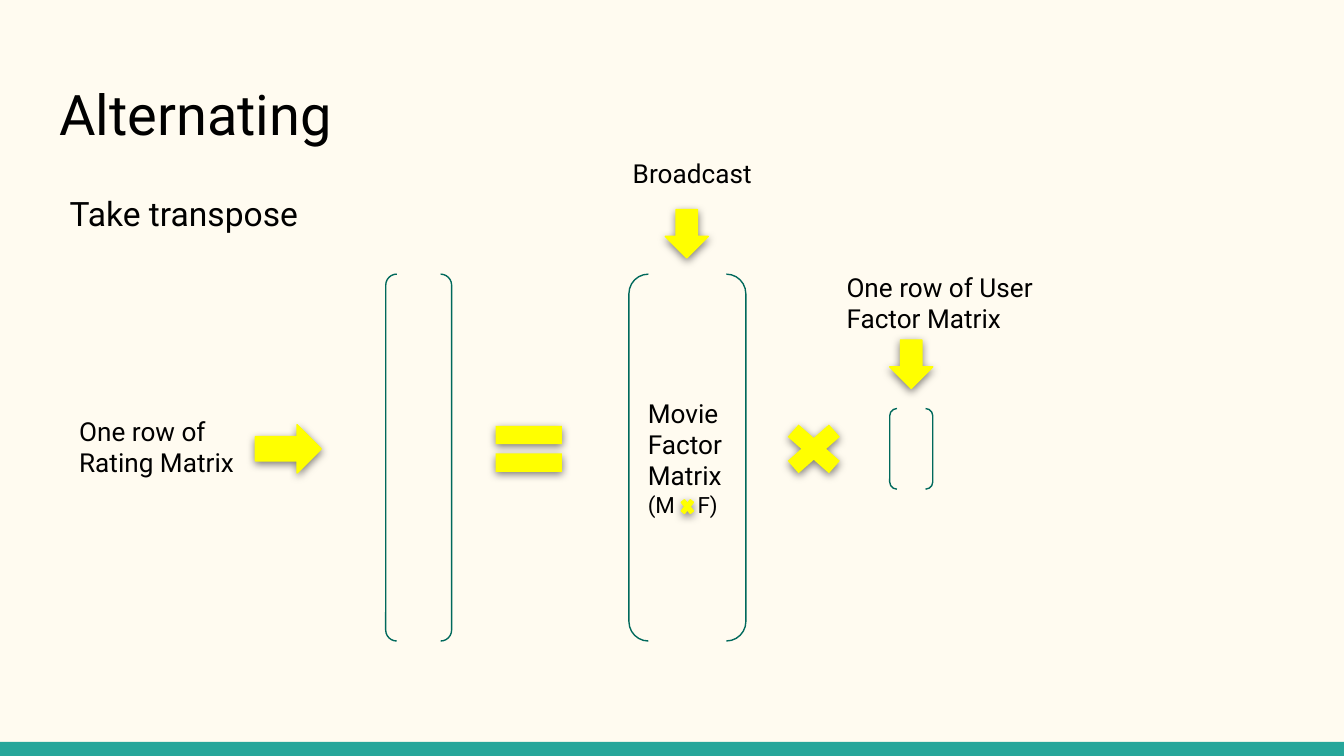
import pptx
import pptx.dml.color
import pptx.enum.shapes
import pptx.enum.text
import pptx.oxml
import pptx.util
from pptx.util import Inches

FONT = "Roboto"
COLORS = {"background": "FFFBF0", "bar": "26A69A", "bracket": "00695C",
          "symbol": "FFFF00", "text": "000000"}
MSO = pptx.enum.shapes.MSO_SHAPE
ANCHOR = pptx.enum.text.MSO_ANCHOR
NS = 'xmlns:a="http://schemas.openxmlformats.org/drawingml/2006/main"'

# Content: boxes are left, top, width, height in inches
TITLE = ("Alternating", (0.34, 0.49, 9.32, 0.67), 30)
LABELS = [
    ("Take transpose", (0.42, 1.29, 9.32, 3.72), 18, 1.15),
    ("Broadcast", (4.61, 1.07, 1.17, 0.42), 14, 1),
    ("One row of User Factor Matrix", (6.2, 1.92, 2.09, 0.36), 14, 1),
    ("One row of Rating Matrix", (0.49, 2.99, 1.41, 0.94), 14, 1),
]
RATING_ROW = (2.87, 2.04, 0.49, 2.73)
MOVIE_FACTORS = (4.68, 2.04, 0.87, 2.73)
USER_ROW = (6.62, 3.04, 0.32, 0.6)
MOVIE_LINES = [("Movie Factor", 14), ("Matrix", 14), ("(M\tF)", 12)]
SYMBOLS = [  # preset, box, outlined
    (MSO.MATH_EQUAL, (3.6, 3.05, 0.67, 0.58), False),
    (MSO.MATH_MULTIPLY, (5.76, 3.08, 0.59, 0.52), False),
    (MSO.MATH_MULTIPLY, (5.05, 3.69, 0.13, 0.16), True),
    (MSO.DOWN_ARROW, (4.95, 1.56, 0.32, 0.36), True),
    (MSO.DOWN_ARROW, (6.62, 2.53, 0.32, 0.36), True),
    (MSO.RIGHT_ARROW, (1.9, 3.16, 0.49, 0.36), True),
]
SHADOW = (f'<a:effectLst {NS}><a:outerShdw blurRad="57150" dist="19050" dir="5400000" '
          'algn="bl" rotWithShape="0"><a:srgbClr val="000000"><a:alpha val="50000"/>'
          '</a:srgbClr></a:outerShdw></a:effectLst>')


def rgb(name):
    return pptx.dml.color.RGBColor.from_string(COLORS[name])


def add_shape(preset, box, fill=None, line=None):
    sp = slide.shapes.add_shape(preset, *map(Inches, box))
    sp.shadow.inherit = False
    if fill:
        sp.fill.solid()
        sp.fill.fore_color.rgb = rgb(fill)
    else:
        sp.fill.background()
    if line:
        sp.line.color.rgb = rgb(line)
        sp.line.width = pptx.util.Pt(0.75)
    else:
        sp.line.fill.background()
    return sp


def write(sp, lines, anchor=ANCHOR.TOP, spacing=1):
    tf = sp.text_frame
    tf.word_wrap = True
    tf.auto_size = pptx.enum.text.MSO_AUTO_SIZE.NONE
    tf.vertical_anchor = anchor
    tf.margin_left = tf.margin_top = tf.margin_right = tf.margin_bottom = Inches(0.1)
    tf.text = "\n".join(text for text, _ in lines)
    for p, (_, size) in zip(tf.paragraphs, lines):
        p.alignment = pptx.enum.text.PP_ALIGN.LEFT
        p.line_spacing = spacing
        for r in p.runs:
            r.font.name = FONT
            r.font.size = pptx.util.Pt(size)
            r.font.color.rgb = rgb("text")


# A 16:9 page
prs = pptx.Presentation()
prs.slide_width = Inches(10)
prs.slide_height = prs.slide_width * 9 // 16
slide = prs.slides.add_slide(prs.slide_layouts[5])
slide.background.fill.solid()
slide.background.fill.fore_color.rgb = rgb("background")

# Bottom bar
add_shape(MSO.RECTANGLE, (0, 5.52, 10, 0.11), fill="bar")

# Title
text, box, size = TITLE
title = slide.shapes.title
title.left, title.top, title.width, title.height = map(Inches, box)
write(title, [(text, size)])

# Matrices, the middle one with its name and size
for box in (RATING_ROW, MOVIE_FACTORS, USER_ROW):
    sp = add_shape(MSO.DOUBLE_BRACKET, box, line="bracket")
    if box == MOVIE_FACTORS:
        write(sp, MOVIE_LINES, anchor=ANCHOR.MIDDLE)
        # Tab stop leaves room for the small multiply sign
        pPr = sp.text_frame.paragraphs[-1]._p.get_or_add_pPr()
        pPr.append(pptx.oxml.parse_xml(
            f'<a:tabLst {NS}><a:tab pos="{Inches(0.37)}" algn="l"/></a:tabLst>'))

# Operators and arrows
for preset, box, outlined in SYMBOLS:
    sp = add_shape(preset, box, fill="symbol", line="symbol" if outlined else None)
    spPr = sp._element.spPr
    spPr.replace(spPr.find(pptx.oxml.ns.qn("a:effectLst")), pptx.oxml.parse_xml(SHADOW))

# Labels
for text, box, size, spacing in LABELS:
    write(slide.shapes.add_textbox(*map(Inches, box)), [(text, size)], spacing=spacing)

prs.save("out.pptx")
